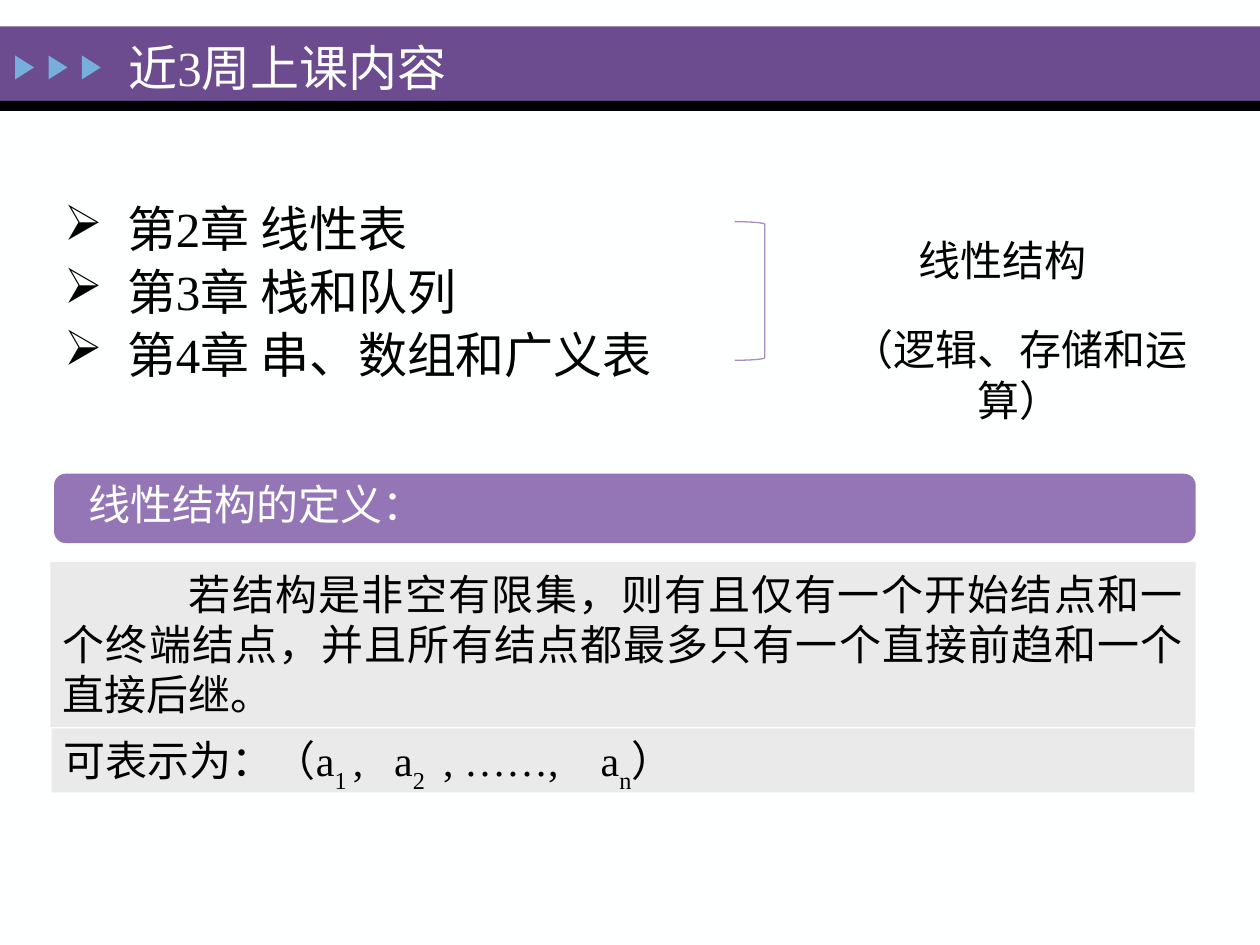
from lxml.etree import SubElement
from pptx import Presentation
from pptx.dml.color import RGBColor
from pptx.enum.shapes import MSO_SHAPE
from pptx.enum.text import MSO_ANCHOR, MSO_AUTO_SIZE, PP_ALIGN
from pptx.oxml.ns import qn
from pptx.util import Inches, Pt

WHITE = RGBColor(0xFE, 0xFF, 0xFF)
BLACK = RGBColor(0x00, 0x00, 0x00)
PURPLE = RGBColor(0x6C, 0x4C, 0x8F)
LILAC = RGBColor(0x94, 0x76, 0xB6)
PALE_LILAC = RGBColor(0xA7, 0x8D, 0xC2)
BLUE = RGBColor(0x76, 0xAE, 0xDD)
GREY = RGBColor(0xEA, 0xEA, 0xEA)

FONT = "Times New Roman"
COLUMNS, ROWS = 100, 75


def write(paragraph, text, size=24, color=BLACK, align=PP_ALIGN.LEFT, subscript=False):
    """Add one formatted run to a paragraph."""
    paragraph.alignment = align
    run = paragraph.add_run()
    run.text = text
    run.font.name = FONT
    run.font.size = Pt(size)
    run.font.color.rgb = color
    if subscript:
        run.font._element.set("baseline", "-30000")


class SlideBuilder:
    """Places elements on a grid of COLUMNS by ROWS."""

    def __init__(self, presentation):
        self.column = presentation.slide_width / COLUMNS
        self.row = presentation.slide_height / ROWS
        self.slide = presentation.slides.add_slide(presentation.slide_layouts[5])
        fill = self.slide.background.fill
        fill.solid()
        fill.fore_color.rgb = WHITE

    def box(self, left, top, width, height):
        return (round(left * self.column), round(top * self.row),
                round(width * self.column), round(height * self.row))

    def shape(self, kind, *place, fill=None, line=None):
        shape = self.slide.shapes.add_shape(kind, *self.box(*place))
        shape.shadow.inherit = False
        if fill is None:
            shape.fill.background()
        else:
            shape.fill.solid()
            shape.fill.fore_color.rgb = fill
        if line is None:
            shape.line.fill.background()
        else:
            shape.line.color.rgb = line
            shape.line.width = Pt(0.75)
        return shape

    def panel(self, *place, fill):
        frame = self.shape(MSO_SHAPE.RECTANGLE, *place, fill=fill).text_frame
        frame.word_wrap = True
        frame.vertical_anchor = MSO_ANCHOR.TOP
        return frame.paragraphs[0]

    def text_box(self, *place):
        frame = self.slide.shapes.add_textbox(*self.box(*place)).text_frame
        frame.word_wrap = True
        return frame

    def label(self, text, *place, color=BLACK):
        paragraph = self.text_box(*place).paragraphs[0]
        write(paragraph, text, color=color, align=PP_ALIGN.CENTER)

    def title(self, text, *place):
        title = self.slide.shapes.title
        title.left, title.top, title.width, title.height = self.box(*place)
        frame = title.text_frame
        frame.auto_size = MSO_AUTO_SIZE.NONE
        frame.vertical_anchor = MSO_ANCHOR.MIDDLE
        write(frame.paragraphs[0], text, size=28, color=WHITE)
        # Bring the title in front of the header band
        title.element.getparent().append(title.element)

    def bullets(self, items, *place):
        frame = self.text_box(*place)
        for index, item in enumerate(items):
            paragraph = frame.add_paragraph() if index else frame.paragraphs[0]
            write(paragraph, item, size=28)
            paragraph.line_spacing = 0.9
            paragraph.space_before = Pt(5.6 if index else 0)
            properties = paragraph._p.get_or_add_pPr()
            properties.set("marL", str(Inches(0.5)))
            properties.set("indent", str(-Inches(0.5)))
            SubElement(properties, qn("a:buChar")).set("char", "➢")


def set_tabs(paragraph, *positions):
    tabs = SubElement(paragraph._p.get_or_add_pPr(), qn("a:tabLst"))
    for position in positions:
        tab = SubElement(tabs, qn("a:tab"))
        tab.set("pos", str(Inches(position)))
        tab.set("algn", "l")


def main():
    presentation = Presentation()
    presentation.slide_width = Inches(10)
    presentation.slide_height = Inches(7.5)
    builder = SlideBuilder(presentation)

    # Header band with three arrows
    builder.shape(MSO_SHAPE.RECTANGLE, 0, 2.1, COLUMNS, 5.9, fill=PURPLE)
    builder.shape(MSO_SHAPE.RECTANGLE, 0, 8, COLUMNS, 0.8, fill=BLACK)
    for index in range(3):
        arrow = builder.shape(MSO_SHAPE.ISOSCELES_TRIANGLE,
                              1 + 2.65 * index, 4.6, 1.9, 1.5, fill=BLUE)
        arrow.rotation = 90
    builder.title("近3周上课内容", 9.2, 2.8, 70, 5)

    # Chapters and what they share
    builder.bullets(["第2章 线性表", "第3章 栈和队列", "第4章 串、数组和广义表"],
                    4.1, 15.8, 59.1, 19)
    builder.shape(MSO_SHAPE.RIGHT_BRACKET, 58.3, 17.6, 2.4, 11, line=PALE_LILAC)
    builder.label("线性结构", 69.7, 18.1, 19.7, 5.1)
    builder.label("（逻辑、存储和运算）", 63.9, 25.2, 34.1, 5.1)

    # Definition heading
    builder.shape(MSO_SHAPE.ROUNDED_RECTANGLE, 4.3, 37.6, 90.6, 5.5, fill=LILAC)
    builder.label("线性结构的定义：", 0, 37.5, 40.7, 5.1, color=WHITE)

    # Definition
    definition = builder.panel(4, 44.6, 90.9, 13.1, fill=GREY)
    write(definition, "若结构是非空有限集，则有且仅有一个开始结点和一个终端结点，"
          "并且所有结点都最多只有一个直接前趋和一个直接后继。", align=PP_ALIGN.JUSTIFY)
    definition._p.get_or_add_pPr().set("indent", str(Inches(1)))

    # Notation, with every second part as a subscript
    notation = builder.panel(4.1, 57.8, 90.7, 5.1, fill=GREY)
    parts = ["可表示为：（a", "1 ", ",\ta", "2", "\t, ……,\ta", "n", "）"]
    for index, part in enumerate(parts):
        write(notation, part, subscript=index % 2 == 1)
    set_tabs(notation, 2.62, 3.01, 4.26)

    presentation.save("out.pptx")


if __name__ == "__main__":
    main()
